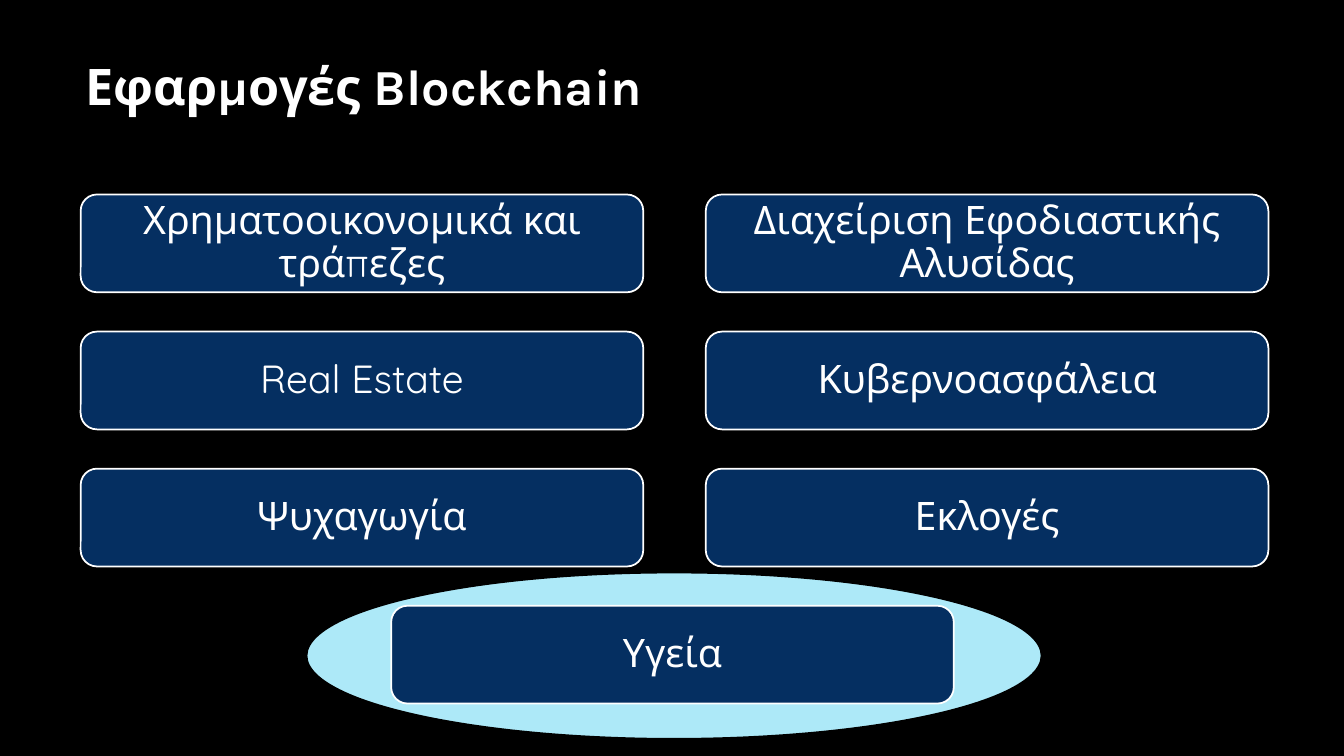
from dataclasses import dataclass

from pptx import Presentation
from pptx import util as u
from pptx.dml.color import RGBColor
from pptx.enum import shapes, text


@dataclass(frozen=True)
class Theme:
    background: RGBColor = RGBColor(0x00, 0x00, 0x00)
    light: RGBColor = RGBColor(0xFF, 0xFF, 0xFF)
    card: RGBColor = RGBColor(0x05, 0x2F, 0x61)
    highlight: RGBColor = RGBColor(0xAD, 0xE9, 0xF8)
    title_font: str = "Karla"
    body_font: str = "Quicksand"
    title_size: int = 36
    body_size: int = 28
    outline: float = 1.25


THEME = Theme()
CARD_WIDTH, CARD_HEIGHT = 5.58, 0.97
APPLICATIONS = [
    ("Χρηματοοικονομικά και τράπεζες", "Διαχείριση Εφοδιαστικής Αλυσίδας"),
    ("Real Estate", "Κυβερνοασφάλεια"),
    ("Ψυχαγωγία", "Εκλογές"),
]


def write(shape, words, *, font, size, bold=False, align=text.PP_ALIGN.LEFT,
          inset=None, line_spacing=None):
    """Put one vertically centred paragraph into a shape."""
    frame = shape.text_frame
    frame.word_wrap = True
    frame.vertical_anchor = text.MSO_ANCHOR.MIDDLE
    if inset is not None:
        frame.margin_left = frame.margin_right = u.Inches(inset)
        frame.margin_top = frame.margin_bottom = u.Inches(inset)
    para = frame.paragraphs[0]
    para.alignment = align
    para.line_spacing = line_spacing
    span = para.add_run()
    span.text = words
    span.font.name = font
    span.font.size = u.Pt(size)
    span.font.bold = bold
    span.font.color.rgb = THEME.light


def add_filled(page, kind, box, fill, line):
    shape = page.shapes.add_shape(kind, *map(u.Inches, box))
    shape.shadow.inherit = False
    shape.fill.solid()
    shape.fill.fore_color.rgb = fill
    shape.line.color.rgb = line
    shape.line.width = u.Pt(THEME.outline)
    return shape


def add_title(page, box, words):
    title = page.shapes.add_textbox(*map(u.Inches, box))
    write(title, words, font=THEME.title_font, size=THEME.title_size, bold=True)


def add_card(page, left, top, words):
    box = (left, top, CARD_WIDTH, CARD_HEIGHT)
    card = add_filled(page, shapes.MSO_SHAPE.ROUNDED_RECTANGLE, box,
                      THEME.card, THEME.light)
    write(card, words, font=THEME.body_font, size=THEME.body_size,
          align=text.PP_ALIGN.CENTER, inset=0.22, line_spacing=0.9)


def add_card_grid(page, box, rows):
    """Spread the cards evenly so that they reach all edges of the box."""
    left, top, width, height = box
    column_step = width - CARD_WIDTH
    row_step = (height - CARD_HEIGHT) / (len(rows) - 1)
    for row, names in enumerate(rows):
        for column, name in enumerate(names):
            add_card(page, left + column * column_step, top + row * row_step, name)


def add_highlighted_card(page, box, words):
    """Place a card on an ellipse that fills the box."""
    left, top, _, _ = box
    add_filled(page, shapes.MSO_SHAPE.OVAL, box, THEME.highlight, THEME.background)
    add_card(page, left + 0.84, top + 0.33, words)


def main():
    deck = Presentation()
    deck.slide_width, deck.slide_height = u.Inches(13.33), u.Inches(7.5)
    page = deck.slides.add_slide(deck.slide_layouts[6])
    page.background.fill.solid()
    page.background.fill.fore_color.rgb = THEME.background

    # Heading
    add_title(page, (0.75, 0.02, 9.33, 1.65), "Εφαρμογές Blockchain")
    # Two columns of applications
    add_card_grid(page, (0.8, 1.93, 11.78, 3.69), APPLICATIONS)
    # Emphasised application
    add_highlighted_card(page, (3.04, 5.68, 7.29, 1.65), "Υγεία")

    deck.save("out.pptx")


if __name__ == "__main__":
    main()
